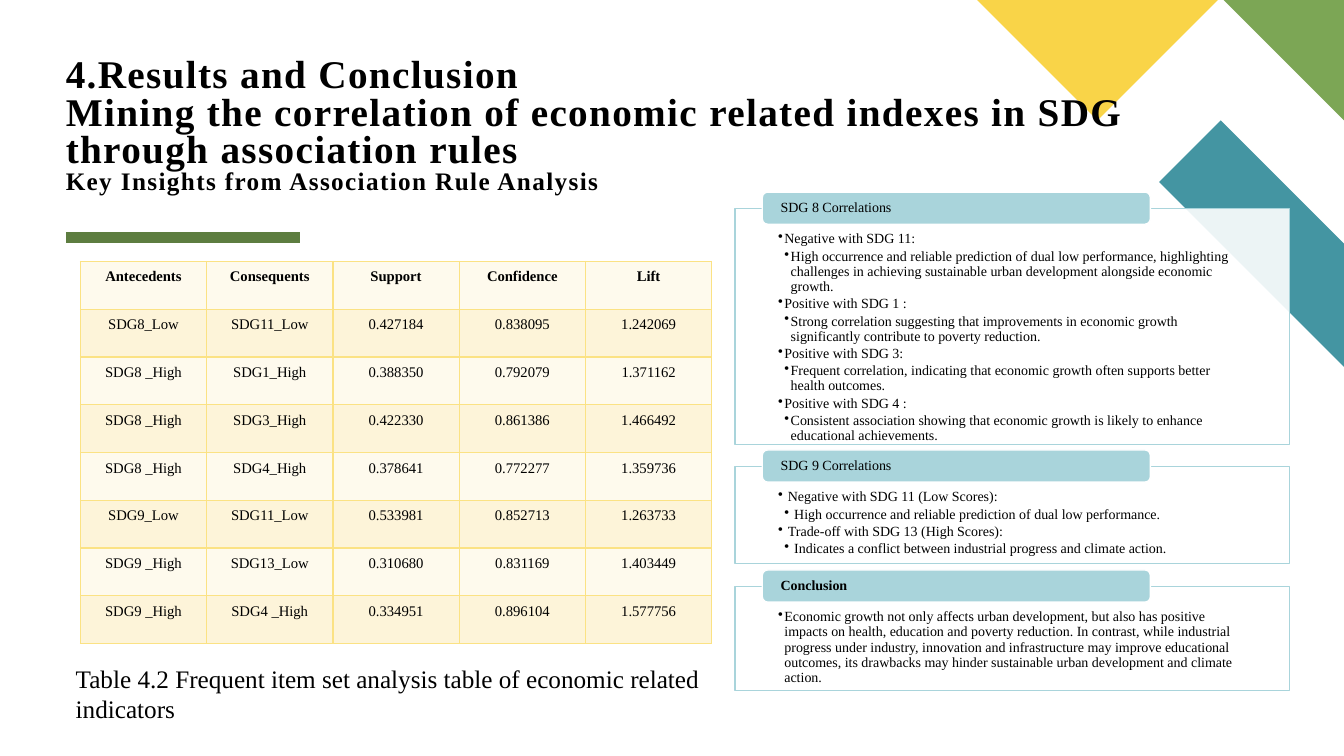
from dataclasses import dataclass

from lxml.etree import SubElement
from pptx import Presentation
from pptx.dml.color import RGBColor
from pptx.enum.shapes import MSO_CONNECTOR, MSO_SHAPE
from pptx.enum.text import MSO_ANCHOR, MSO_AUTO_SIZE, PP_ALIGN
from pptx.oxml.ns import qn
from pptx.slide import Slide
from pptx.util import Pt

FONT = "Times New Roman"
COLORS = {
    "text": "000000", "white": "FFFFFF", "teal": "4495A2", "green": "7CA655",
    "yellow": "F9D448", "bar": "5D7D40", "panel": "A9D4DB",
    "border": "FBE284", "light_row": "FEFAED", "dark_row": "FDF4D9",
}


@dataclass
class Corner:
    color: str
    points: list[tuple[float, float]]


@dataclass
class Panel:
    heading: str
    top: float
    height: float
    hang: float  # distance from bullet to text
    items: list[tuple[int, str]]  # level, text
    bold: bool = False


CORNERS = [
    Corner("teal", [(960, 262), (960, 173.5), (872.5, 85.5), (828, 129.8)]),
    Corner("green", [(960, 85.5), (960, 0), (874.5, 0)]),
    Corner("yellow", [(698.4, 0), (784.2, 85.7), (870.2, 0)]),
]

TITLE = ("4.Results and Conclusion\n"
         "Mining the correlation of economic related indexes in SDG through association rules\n"
         "Key Insights from Association Rule Analysis")

ROWS = [
    ("Antecedents", "Consequents", "Support", "Confidence", "Lift"),
    ("SDG8_Low", "SDG11_Low", "0.427184", "0.838095", "1.242069"),
    ("SDG8 _High", "SDG1_High", "0.388350", "0.792079", "1.371162"),
    ("SDG8 _High", "SDG3_High", "0.422330", "0.861386", "1.466492"),
    ("SDG8 _High", "SDG4_High", "0.378641", "0.772277", "1.359736"),
    ("SDG9_Low", "SDG11_Low", "0.533981", "0.852713", "1.263733"),
    ("SDG9 _High", "SDG13_Low", "0.310680", "0.831169", "1.403449"),
    ("SDG9 _High", "SDG4 _High", "0.334951", "0.896104", "1.577756"),
]

PANELS = [
    Panel("SDG 8 Correlations", 149, 168.6, 4.5, [
        (1, "Negative with SDG 11:"),
        (2, "High occurrence and reliable prediction of dual low performance, highlighting "
            "challenges in achieving sustainable urban development alongside economic growth."),
        (1, "Positive with SDG 1 :"),
        (2, "Strong correlation suggesting that improvements in economic growth "
            "significantly contribute to poverty reduction."),
        (1, "Positive with SDG 3:"),
        (2, "Frequent correlation, indicating that economic growth often supports "
            "better health outcomes."),
        (1, "Positive with SDG 4 :"),
        (2, "Consistent association showing that economic growth is likely to enhance "
            "educational achievements."),
    ]),
    Panel("SDG 9 Correlations", 333.2, 69.3, 7, [
        (1, "Negative with SDG 11 (Low Scores):"),
        (2, "High occurrence and reliable prediction of dual low performance."),
        (1, "Trade-off with SDG 13 (High Scores):"),
        (2, "Indicates a conflict between industrial progress and climate action."),
    ]),
    Panel("Conclusion", 418.9, 74.2, 4.5, [
        (1, "Economic growth not only affects urban development, but also has positive impacts "
            "on health, education and poverty reduction. In contrast, while industrial progress "
            "under industry, innovation and infrastructure may improve educational outcomes, its "
            "drawbacks may hinder sustainable urban development and climate action."),
    ], bold=True),
]


def rgb(name: str) -> RGBColor:
    return RGBColor.from_string(COLORS[name])


def format_run(r, size: float, bold: bool = False) -> None:
    r.font.name, r.font.size, r.font.bold = FONT, Pt(size), bold
    r.font.color.rgb = rgb("text")


def set_insets(tf, left: float, top: float, right: float, bottom: float) -> None:
    tf.margin_left, tf.margin_top = Pt(left), Pt(top)
    tf.margin_right, tf.margin_bottom = Pt(right), Pt(bottom)
    tf.word_wrap = True


def add_corner(s: Slide, corner: Corner) -> None:
    fb = s.shapes.build_freeform(*corner.points[0], scale=Pt(1))
    fb.add_line_segments(corner.points[1:], close=True)
    sp = fb.convert_to_shape()
    sp.shadow.inherit = False
    sp.fill.solid()
    sp.fill.fore_color.rgb = rgb(corner.color)
    sp.line.fill.background()


def add_box(s: Slide, kind: MSO_SHAPE, left: float, top: float, width: float,
            height: float, fill: str, line: str):
    sp = s.shapes.add_shape(kind, Pt(left), Pt(top), Pt(width), Pt(height))
    sp.shadow.inherit = False
    sp.fill.solid()
    sp.fill.fore_color.rgb = rgb(fill)
    sp.line.color.rgb, sp.line.width = rgb(line), Pt(1)
    return sp


def add_panel(s: Slide, panel: Panel) -> None:
    # Body with bullets
    sp = add_box(s, MSO_SHAPE.RECTANGLE, 525, panel.top, 396, panel.height, "white", "panel")
    fill_color = sp._element.spPr.find(qn("a:solidFill")).find(qn("a:srgbClr"))
    SubElement(fill_color, qn("a:alpha"), val="90000")
    tf = sp.text_frame
    set_insets(tf, 30.8, 16.6, 30.8, 5.6)
    tf.vertical_anchor = MSO_ANCHOR.TOP
    for i, (level, text) in enumerate(panel.items):
        p = tf.paragraphs[0] if i == 0 else tf.add_paragraph()
        p.text, p.level, p.alignment = text, level, PP_ALIGN.LEFT
        p.line_spacing, p.space_before, p.space_after = 0.9, Pt(0), Pt(1.5)
        pPr = p._p.get_or_add_pPr()
        pPr.set("marL", str(Pt(4.5 * (level - 1) + panel.hang)))
        pPr.set("indent", str(-Pt(panel.hang)))
        SubElement(pPr, qn("a:buChar"), char="•")
        format_run(p.runs[0], 10)

    # Heading tab over the top edge
    sp = add_box(s, MSO_SHAPE.ROUNDED_RECTANGLE, 544.5, panel.top - 11.8, 277.2, 23,
                 "panel", "white")
    tf = sp.text_frame
    set_insets(tf, 12, 0, 12, 0)
    tf.vertical_anchor = MSO_ANCHOR.MIDDLE
    p = tf.paragraphs[0]
    p.text, p.alignment, p.line_spacing = panel.heading, PP_ALIGN.LEFT, 0.9
    format_run(p.runs[0], 10, panel.bold)


def add_cell_borders(cell) -> None:
    tcPr = cell._tc.get_or_add_tcPr()
    for side in ("lnL", "lnR", "lnT", "lnB"):
        ln = SubElement(tcPr, qn(f"a:{side}"), w=str(Pt(1)))
        SubElement(SubElement(ln, qn("a:solidFill")), qn("a:srgbClr"), val=COLORS["border"])


def add_rules_table(s: Slide) -> None:
    table = s.shapes.add_table(len(ROWS), len(ROWS[0]), Pt(57.4), Pt(186.7),
                               Pt(451), Pt(273.2)).table
    for col in table.columns:
        col.width = Pt(90.2)
    for i, row in enumerate(ROWS):
        table.rows[i].height = Pt(34.15)
        for j, text in enumerate(row):
            cell = table.cell(i, j)
            add_cell_borders(cell)
            cell.fill.solid()
            cell.fill.fore_color.rgb = rgb("dark_row" if i % 2 else "light_row")
            cell.margin_left = cell.margin_right = Pt(5.4)
            p = cell.text_frame.paragraphs[0]
            p.text, p.alignment, p.line_spacing = text, PP_ALIGN.CENTER, 1.15
            format_run(p.runs[0], 10.5, bold=i == 0)


def main() -> None:
    prs = Presentation()
    prs.slide_width, prs.slide_height = Pt(960), Pt(540)
    s = prs.slides.add_slide(prs.slide_layouts[6])

    # Corner decoration and bar under the title
    for corner in CORNERS:
        add_corner(s, corner)
    bar = s.shapes.add_connector(MSO_CONNECTOR.STRAIGHT, Pt(47), Pt(169.4), Pt(214.6), Pt(169.4))
    bar.line.color.rgb, bar.line.width = rgb("bar"), Pt(8)
    SubElement(bar._element.spPr, qn("a:effectLst"))

    # Title
    tf = s.shapes.add_textbox(Pt(47), Pt(16), Pt(864), Pt(123.8)).text_frame
    set_insets(tf, 0, 0, 0, 0)
    tf.vertical_anchor = MSO_ANCHOR.BOTTOM
    p = tf.paragraphs[0]
    p.text, p.line_spacing = TITLE, 0.8
    for r, size in zip(p.runs, (28, 28, 18)):
        format_run(r, size, bold=True)
        r._r.get_or_add_rPr().set("spc", "100")

    # Table with caption
    add_rules_table(s)
    tf = s.shapes.add_textbox(Pt(47), Pt(470.2), Pt(480), Pt(51)).text_frame
    tf.word_wrap, tf.auto_size = True, MSO_AUTO_SIZE.SHAPE_TO_FIT_TEXT
    tf.text = "Table 4.2 Frequent item set analysis table of economic related indicators"
    format_run(tf.paragraphs[0].runs[0], 18)

    # Findings
    for panel in PANELS:
        add_panel(s, panel)

    prs.save("out.pptx")


if __name__ == "__main__":
    main()
